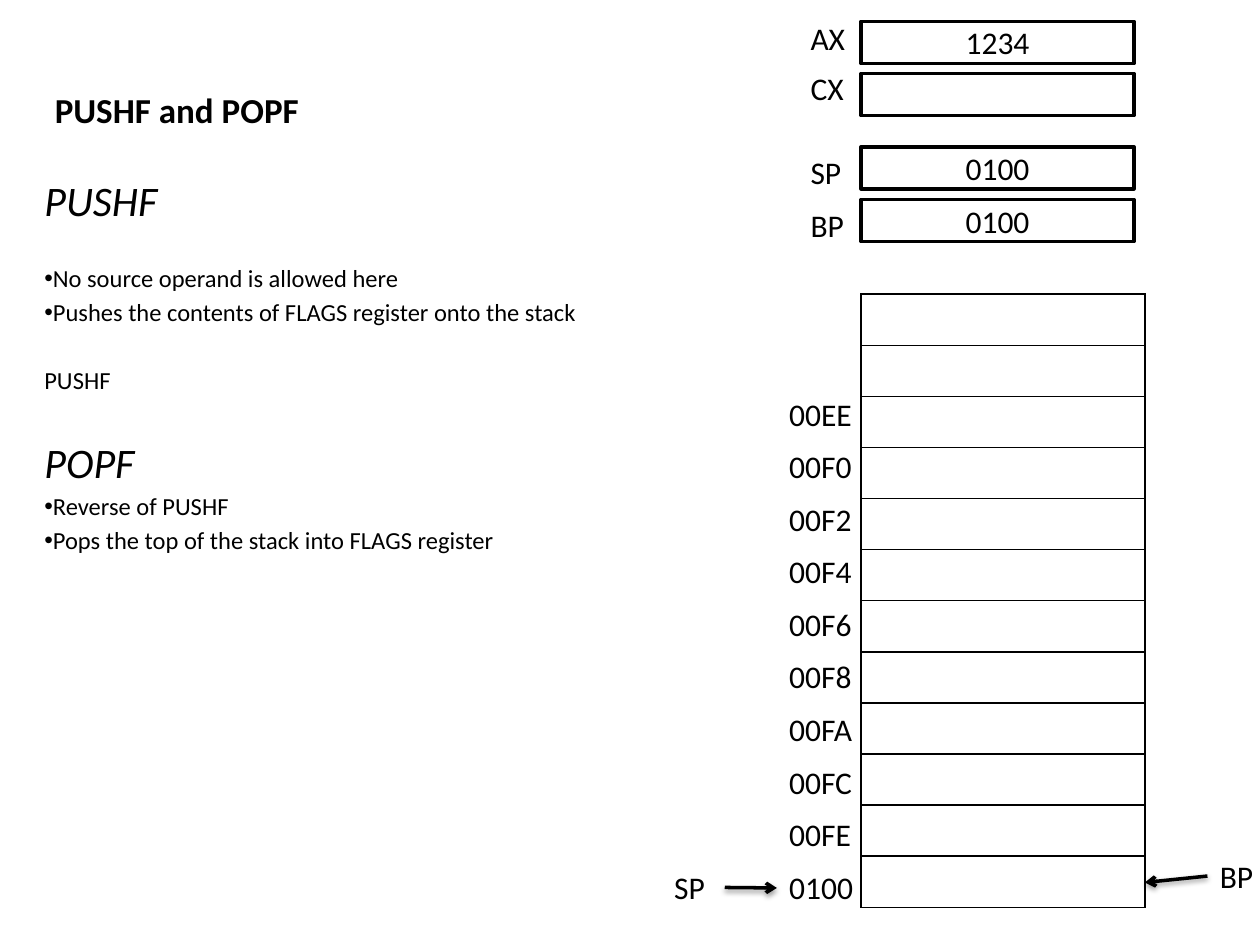
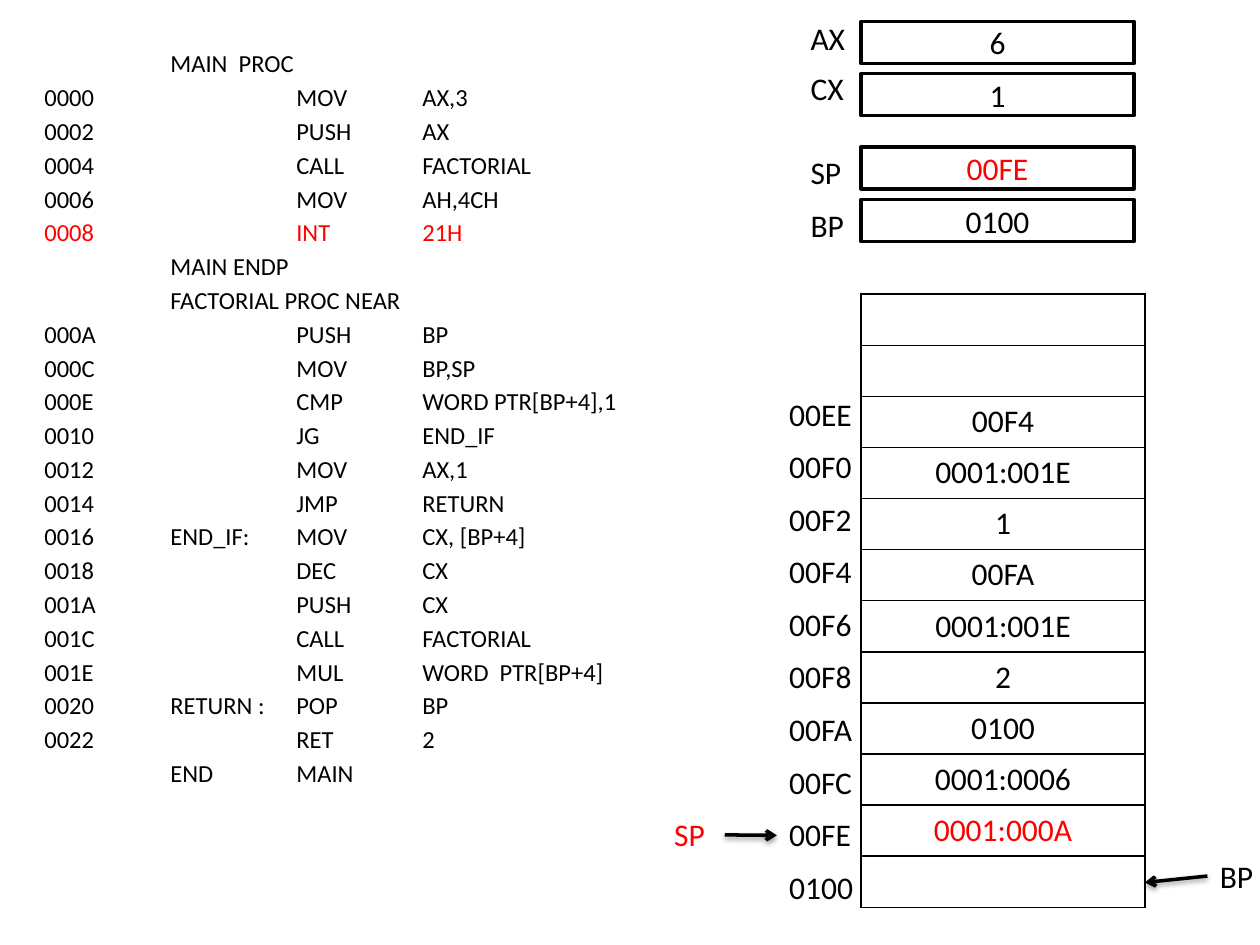
from dataclasses import dataclass

from lxml.etree import SubElement
from pptx import Presentation
from pptx.dml.color import RGBColor
from pptx.enum.shapes import MSO_CONNECTOR, MSO_SHAPE
from pptx.enum.text import MSO_ANCHOR, MSO_AUTO_SIZE, PP_ALIGN
from pptx.oxml.ns import qn
from pptx.util import Cm, Pt


@dataclass(frozen=True)
class Theme:
    """Colours, font and type sizes shared by the slides."""

    font: str = "Calibri"
    black: RGBColor = RGBColor(0, 0, 0)
    white: RGBColor = RGBColor(255, 255, 255)
    red: RGBColor = RGBColor(255, 0, 0)
    title: int = 20
    heading: int = 24
    diagram: int = 18
    body: int = 14


THEME = Theme()
ADDRESSES = ["00EE", "00F0", "00F2", "00F4", "00F6", "00F8", "00FA", "00FC", "00FE", "0100"]
REGISTERS = [("AX", 0.43, 0.25), ("CX", 1.48, 1.27), ("SP", 2.96, 2.96), ("BP", 4.02, 4.02)]
STACK_ROWS = 12
ROW_HEIGHT = 1.03
STACK_LEFT, STACK_TOP, STACK_WIDTH = 17.36, 5.93, 5.72
REGISTER_WIDTH, REGISTER_HEIGHT = 5.5, 0.85
LABEL_HEIGHT = 1.02
ADDRESS_TOP, ADDRESS_STEP = 7.83, 1.06

NOTES = [
    ("PUSHF", True, "", 4.5),
    ("No source operand is allowed here", False, "•", 22),
    ("Pushes the contents of FLAGS register onto the stack", False, "•", 2.5),
    ("PUSHF", False, "", 22),
    ("POPF", True, "", 24),
    ("Reverse of PUSHF", False, "•", 2.5),
    ("Pops the top of the stack into FLAGS register", False, "•", 2.5),
]

LISTING = [
    "\tMAIN  PROC",
    "0000\t\tMOV\tAX,3",
    "0002\t\tPUSH\tAX",
    "0004\t\tCALL\tFACTORIAL",
    "0006\t\tMOV\tAH,4CH",
    "0008\t\tINT\t21H",
    "\tMAIN ENDP",
    "\tFACTORIAL PROC NEAR",
    "000A\t\tPUSH\tBP",
    "000C\t\tMOV\tBP,SP",
    "000E\t\tCMP\tWORD PTR[BP+4],1",
    "0010\t\tJG\tEND_IF",
    "0012\t\tMOV\tAX,1",
    "0014\t\tJMP\tRETURN",
    "0016\tEND_IF:\tMOV\tCX, [BP+4]",
    "0018\t\tDEC\tCX",
    "001A\t\tPUSH\tCX",
    "001C\t\tCALL\tFACTORIAL",
    "001E\t\tMUL\tWORD  PTR[BP+4]",
    "0020\tRETURN :\tPOP\tBP",
    "0022\t\tRET\t2",
    "\tEND\tMAIN",
]
CURRENT_INSTRUCTION = "0008"

STACK_VALUES = {
    "00EE": "00F4",
    "00F0": "0001:001E",
    "00F2": "1",
    "00F4": "00FA",
    "00F6": "0001:001E",
    "00F8": "2",
    "00FA": "0100",
    "00FC": "0001:0006",
    "00FE": "0001:000A",
}


def write(frame, text, size=THEME.diagram, color=THEME.black, bold=False, italic=False,
          align=PP_ALIGN.LEFT, bullet=None, space_before=None):
    """Write one formatted paragraph at the end of a text frame."""
    first = frame.paragraphs[0]
    paragraph = frame.add_paragraph() if first.runs else first
    paragraph.alignment = align
    if space_before is not None:
        paragraph.space_before = Pt(space_before)
    if bullet is not None:
        properties = paragraph._p.get_or_add_pPr()
        for name, value in (("marL", "0"), ("indent", "0"), ("defTabSz", str(Cm(2.54)))):
            properties.set(name, value)
        if bullet:
            SubElement(properties, qn("a:buChar"), char=bullet)
        else:
            SubElement(properties, qn("a:buNone"))
    run = paragraph.add_run()
    run.text = text
    font = run.font
    font.name, font.size, font.bold, font.italic = THEME.font, Pt(size), bold, italic
    font.color.rgb = color


def place(shape, left, top, width, height):
    """Move and size a placeholder and return its text frame."""
    shape.left, shape.top, shape.width, shape.height = Cm(left), Cm(top), Cm(width), Cm(height)
    frame = shape.text_frame
    frame.word_wrap = True
    frame.auto_size = MSO_AUTO_SIZE.NONE
    return frame


def add_label(slide, text, left, top, width, color=THEME.black):
    """Add a short diagram label."""
    box = slide.shapes.add_textbox(Cm(left), Cm(top), Cm(width), Cm(LABEL_HEIGHT))
    frame = box.text_frame
    frame.word_wrap = True
    frame.auto_size = MSO_AUTO_SIZE.SHAPE_TO_FIT_TEXT
    write(frame, text, color=color)


def add_register(slide, value, top, color):
    """Add a register box holding its value."""
    box = slide.shapes.add_shape(MSO_SHAPE.RECTANGLE, Cm(STACK_LEFT), Cm(top),
                                 Cm(REGISTER_WIDTH), Cm(REGISTER_HEIGHT))
    box.shadow.inherit = False
    box.fill.solid()
    box.fill.fore_color.rgb = THEME.white
    box.line.color.rgb = THEME.black
    box.line.width = Pt(2)
    box.text_frame.vertical_anchor = MSO_ANCHOR.MIDDLE
    if value:
        write(box.text_frame, value, color=color, align=PP_ALIGN.CENTER)


def add_arrow(slide, start, end):
    """Add a pointer arrow with a soft shadow below it."""
    arrow = slide.shapes.add_connector(MSO_CONNECTOR.STRAIGHT, *map(Cm, start + end))
    arrow.line.color.rgb = THEME.black
    arrow.line.width = Pt(2)
    SubElement(arrow.line._get_or_add_ln(), qn("a:tailEnd"), type="arrow")
    effects = SubElement(arrow._element.spPr, qn("a:effectLst"))
    shadow = SubElement(effects, qn("a:outerShdw"), blurRad=str(Pt(3.1)), dist=str(Pt(1.6)),
                        dir="5400000", rotWithShape="0")
    color = SubElement(shadow, qn("a:srgbClr"), val=str(THEME.black))
    SubElement(color, qn("a:alpha"), val="38000")


def format_cell(cell):
    """Give a stack cell black borders and a white fill."""
    properties = cell._tc.get_or_add_tcPr()
    for side in ("lnL", "lnR", "lnT", "lnB"):
        border = SubElement(properties, qn(f"a:{side}"), w=str(Pt(1)))
        fill = SubElement(border, qn("a:solidFill"))
        SubElement(fill, qn("a:srgbClr"), val=str(THEME.black))
    cell.fill.solid()
    cell.fill.fore_color.rgb = THEME.white


def add_stack(slide, values, highlight):
    """Add the stack table with one cell per word."""
    frame = slide.shapes.add_table(STACK_ROWS, 1, Cm(STACK_LEFT), Cm(STACK_TOP),
                                   Cm(STACK_WIDTH), Cm(STACK_ROWS * ROW_HEIGHT))
    table = frame.table
    table.first_row = table.horz_banding = False
    unlabelled = STACK_ROWS - len(ADDRESSES)
    for index, row in enumerate(table.rows):
        row.height = Cm(ROW_HEIGHT)
        cell = row.cells[0]
        format_cell(cell)
        address = ADDRESSES[index - unlabelled] if index >= unlabelled else None
        if address in values:
            color = THEME.red if address == highlight else THEME.black
            write(cell.text_frame, values[address], color=color, align=PP_ALIGN.CENTER)


def add_machine(slide, registers, values, stack_pointer, changed=False):
    """Add the stack, its addresses, the registers and both pointers."""
    accent = THEME.red if changed else THEME.black
    add_stack(slide, values, stack_pointer)
    for name, box_top, label_top in REGISTERS:
        add_register(slide, registers[name], box_top, accent if name == "SP" else THEME.black)
        add_label(slide, name, 16.09, label_top, 1.48)
    for index, address in enumerate(ADDRESSES):
        add_label(slide, address, 15.66, ADDRESS_TOP + index * ADDRESS_STEP, 1.91)
    pointer_top = ADDRESS_TOP + ADDRESSES.index(stack_pointer) * ADDRESS_STEP
    add_label(slide, "SP", 13.34, pointer_top, 1.27, accent)
    add_arrow(slide, (14.61, pointer_top + 0.52), (15.66, pointer_top + 0.53))
    base_top = 17.16
    add_label(slide, "BP", 24.34, base_top, 1.48)
    add_arrow(slide, (24.34, base_top + 0.5), (STACK_LEFT + STACK_WIDTH, base_top + 0.63))


def build_flags_slide(presentation):
    """Build the slide on PUSHF and POPF."""
    slide = presentation.slides.add_slide(presentation.slide_layouts[1])
    title = place(slide.shapes.title, 0.85, 1.06, 11, 1.69)
    title.vertical_anchor = MSO_ANCHOR.BOTTOM
    write(title, "PUSHF and POPF", size=THEME.title, bold=True)
    body = place(slide.placeholders[1], 0.64, 3.39, 12.07, 14.61)
    for text, heading, bullet, gap in NOTES:
        write(body, text, size=THEME.heading if heading else THEME.body, italic=heading,
              bullet=bullet, space_before=gap)
    add_machine(slide, {"AX": "1234", "CX": "", "SP": "0100", "BP": "0100"}, {}, "0100")


def build_factorial_slide(presentation):
    """Build the slide that traces the recursive factorial."""
    slide = presentation.slides.add_slide(presentation.slide_layouts[1])
    title = slide.shapes.title._element
    title.getparent().remove(title)
    body = place(slide.placeholders[1], 0.64, 0.85, 12.07, 17.15)
    for line in LISTING:
        color = THEME.red if line.startswith(CURRENT_INSTRUCTION) else THEME.black
        write(body, line, size=THEME.body, color=color, bullet="", space_before=2.5)
    add_machine(slide, {"AX": "6", "CX": "1", "SP": "00FE", "BP": "0100"},
                STACK_VALUES, "00FE", changed=True)


def main():
    """Build and save the presentation."""
    presentation = Presentation()
    presentation.slide_width, presentation.slide_height = Cm(25.4), Cm(19.05)
    build_flags_slide(presentation)
    build_factorial_slide(presentation)
    presentation.save("out.pptx")


main()
